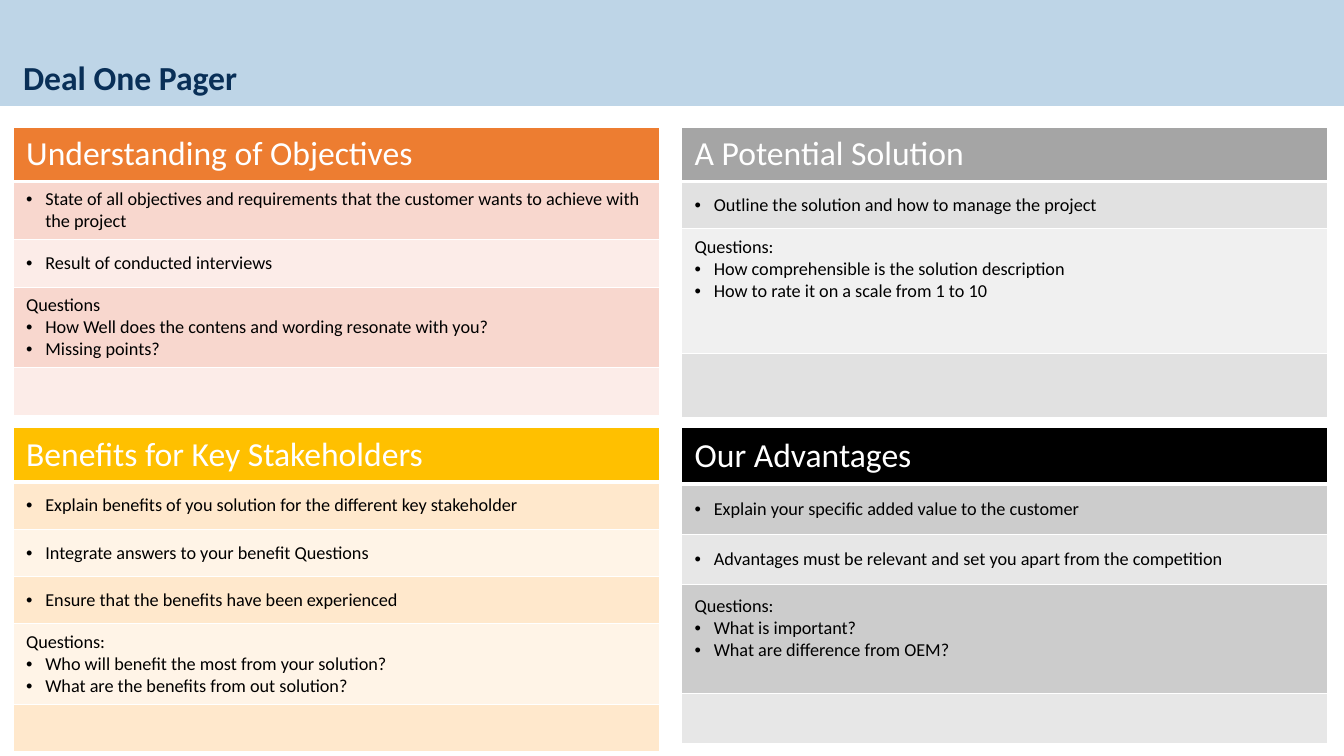
from dataclasses import dataclass

from lxml import etree
from pptx import Presentation
from pptx.dml.color import RGBColor
from pptx.enum.shapes import MSO_SHAPE
from pptx.enum.text import MSO_ANCHOR
from pptx.oxml.ns import qn
from pptx.util import Inches, Pt

RECTANGLE = MSO_SHAPE.RECTANGLE
TOP, MIDDLE = MSO_ANCHOR.TOP, MSO_ANCHOR.MIDDLE


@dataclass(frozen=True)
class Theme:
    font: str = "Calibri"
    heading_size: float = 24
    body_size: float = 13
    title_spacing: float = 26.7
    banner: str = "BED5E7"
    title: str = "092F57"
    white: str = "FFFFFF"
    black: str = "000000"
    orange: tuple = ("ED7D31", "F8D7CE", "FCECE8")
    gray: tuple = ("A5A5A5", "E1E1E1", "F0F0F0")
    gold: tuple = ("FFC000", "FFE8CC", "FFF4E7")
    dark: tuple = ("000000", "CCCCCC", "E7E7E7")


THEME = Theme()
LEFT_COLUMN, RIGHT_COLUMN = 0.13, 6.76
UPPER_ROW, LOWER_ROW = 1.26, 4.24
PANEL_WIDTH = 6.41

# Each panel: left, top, colours, heading, row heights, body rows, inset of top-aligned questions.
# Lines starting with "•" become bullets; the last row of every panel stays empty.
PANELS = [
    (RIGHT_COLUMN, UPPER_ROW, THEME.gray, "A Potential Solution",
     [0.53, 0.47, 1.24, 0.63],
     [["•Outline the solution and how to manage the project"],
      ["Questions:",
       "•How comprehensible is the solution description",
       "•How to rate it on a scale from 1 to 10"],
      []], 0.07),
    (LEFT_COLUMN, UPPER_ROW, THEME.orange, "Understanding of Objectives",
     [0.53, 0.58, 0.47, 0.8, 0.47],
     [["•State of all objectives and requirements that the customer wants "
       "to achieve with the project"],
      ["•Result of conducted interviews"],
      ["Questions",
       "•How Well does the contens and wording resonate with you?",
       "•Missing points?"],
      []], 0.07),
    (LEFT_COLUMN, LOWER_ROW, THEME.gold, "Benefits for Key Stakeholders",
     [0.53, 0.47, 0.47, 0.47, 0.8, 0.47],
     [["•Explain benefits of you solution for the different key stakeholder"],
      ["•Integrate answers to your benefit Questions"],
      ["•Ensure that the benefits have been experienced"],
      ["Questions:",
       "•Who will benefit the most from your solution?",
       "•What are the benefits from out solution?"],
      []], 0.07),
    (RIGHT_COLUMN, LOWER_ROW, THEME.dark, "Our Advantages",
     [0.56, 0.5, 0.5, 1.08, 0.5],
     [["•Explain your specific added value to the customer"],
      ["•Advantages must be relevant and set you apart from the competition"],
      ["Questions:",
       "•What is important?",
       "•What are difference from OEM?"],
      []], 0.1),
]


class SlideBuilder:
    def __init__(self, slide, theme):
        self.slide = slide
        self.theme = theme

    def set_font(self, paragraph, size, color, bold=False):
        font = paragraph.font
        font.name = self.theme.font
        font.size = Pt(size)
        font.bold = bold
        font.color.rgb = RGBColor.from_string(color)

    def add_banner(self, left, top, width, height):
        shape = self.slide.shapes.add_shape(
            RECTANGLE, Inches(left), Inches(top), Inches(width), Inches(height))
        shape.shadow.inherit = False
        shape.fill.solid()
        shape.fill.fore_color.rgb = RGBColor.from_string(self.theme.banner)
        shape.line.fill.background()

    def add_title(self, text, left, top, width, height):
        box = self.slide.shapes.add_textbox(
            Inches(left), Inches(top), Inches(width), Inches(height))
        box.text_frame.word_wrap = True
        paragraph = box.text_frame.paragraphs[0]
        paragraph.text = text
        paragraph.line_spacing = Pt(self.theme.title_spacing)
        self.set_font(paragraph, self.theme.heading_size, self.theme.title, bold=True)

    def add_bullet(self, paragraph):
        properties = paragraph._p.get_or_add_pPr()
        properties.set("marL", str(Inches(0.19)))
        properties.set("indent", str(-Inches(0.19)))
        etree.SubElement(properties, qn("a:buFont")).set("typeface", "Arial")
        etree.SubElement(properties, qn("a:buChar")).set("char", "•")

    def add_borders(self, cell, bottom_width):
        """Draw white cell borders, which must precede the fill in the cell properties."""
        properties = cell._tc.get_or_add_tcPr()
        widths = {"a:lnL": 1, "a:lnR": 1, "a:lnT": 1, "a:lnB": bottom_width}
        for position, (tag, width) in enumerate(widths.items()):
            line = etree.Element(qn(tag), w=str(Pt(width)))
            fill = etree.SubElement(line, qn("a:solidFill"))
            etree.SubElement(fill, qn("a:srgbClr")).set("val", self.theme.white)
            properties.insert(position, line)

    def fill_cell(self, cell, lines, fill, size, color, bottom_width=1):
        cell.vertical_anchor = MIDDLE
        cell.margin_left = cell.margin_right = Inches(0.13)
        cell.margin_top = cell.margin_bottom = Inches(0.07)
        cell.fill.solid()
        cell.fill.fore_color.rgb = RGBColor.from_string(fill)
        self.add_borders(cell, bottom_width)
        frame = cell.text_frame
        for index, line in enumerate(lines or [""]):
            paragraph = frame.add_paragraph() if index else frame.paragraphs[0]
            paragraph.text = line.removeprefix("•")
            if line.startswith("•"):
                self.add_bullet(paragraph)
            self.set_font(paragraph, size, color)

    def add_panel(self, left, top, colors, heading, heights, body, question_inset):
        header_fill, *bands = colors
        table = self.slide.shapes.add_table(
            len(heights), 1, Inches(left), Inches(top),
            Inches(PANEL_WIDTH), Inches(sum(heights))).table
        table.first_row = table.horz_banding = False
        for row, height in zip(table.rows, heights):
            row.height = Inches(height)
        self.fill_cell(table.cell(0, 0), [heading], header_fill,
                       self.theme.heading_size, self.theme.white, bottom_width=3)
        for index, lines in enumerate(body):
            cell = table.cell(index + 1, 0)
            self.fill_cell(cell, lines, bands[index % 2],
                           self.theme.body_size, self.theme.black)
            if len(lines) > 1:
                cell.vertical_anchor = TOP
                cell.margin_top = Inches(question_inset)


def main():
    presentation = Presentation()
    presentation.slide_width = Inches(13.33)
    presentation.slide_height = Inches(7.5)
    slide = presentation.slides.add_slide(presentation.slide_layouts[6])
    builder = SlideBuilder(slide, THEME)
    builder.add_banner(0, 0, 13.35, 1.05)
    builder.add_title("Deal One Pager", 0.13, 0.54, PANEL_WIDTH, 0.48)
    for panel in PANELS:
        builder.add_panel(*panel)
    presentation.save("out.pptx")


if __name__ == "__main__":
    main()
